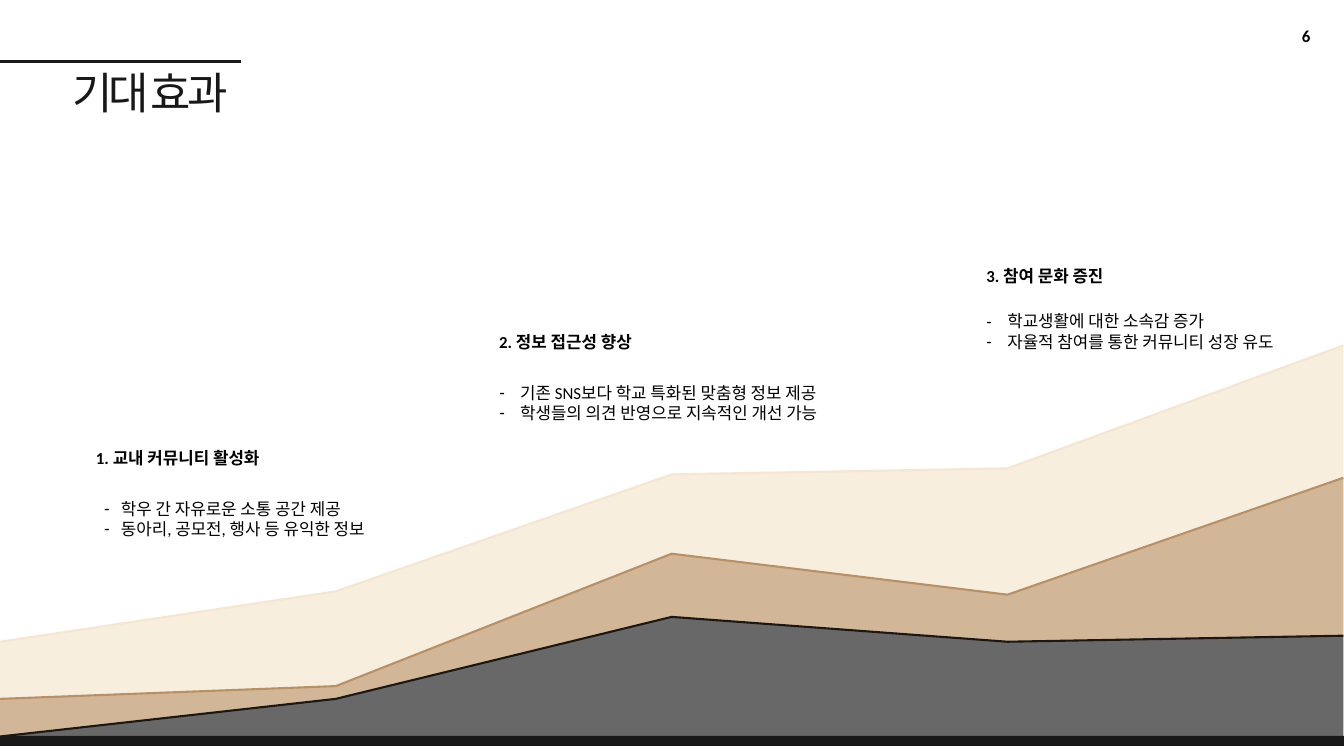
from dataclasses import dataclass

from lxml.etree import SubElement
from pptx import Presentation
from pptx.dml.color import RGBColor
from pptx.enum.shapes import MSO_CONNECTOR, MSO_SHAPE
from pptx.enum.text import MSO_ANCHOR, MSO_AUTO_SIZE, PP_ALIGN
from pptx.oxml.ns import qn
from pptx.util import Inches, Pt


@dataclass(frozen=True)
class Theme:
    """Colours, fonts and type sizes of the slide."""

    dark: str = "181818"
    text: str = "000000"
    cream: str = "F5E6CD"
    tan: str = "BA8F61"
    band_opacity: int = 65
    body_font: str = "Calibri"
    title_font: str = "Noto Sans CJK KR"
    title_size: int = 47
    body_size: int = 18
    band_line: float = 2.25
    title_line: float = 3


THEME = Theme()
BASELINE = 10.96
BANDS = [
    (THEME.cream, [9.55, 8.8, 7.06, 6.97, 5.14]),
    (THEME.tan, [10.4, 10.21, 8.24, 8.85, 7.11]),
    (THEME.dark, [BASELINE, 10.4, 9.18, 9.55, 9.46]),
]
BENEFITS = [
    ((1.33, 6.62, 4.92), (1.45, 7.37, 4.8), 0.25, "1. 교내 커뮤니티 활성화",
     ["학우 간 자유로운 소통 공간 제공", "동아리, 공모전, 행사 등 유익한 정보"]),
    ((7.33, 4.88, 4.92), (7.33, 5.64, 5.44), 0.31, "2. 정보 접근성 향상",
     ["기존 SNS보다 학교 특화된 맞춤형 정보 제공", "학생들의 의견 반영으로 지속적인 개선 가능"]),
    ((14.58, 3.9, 4.92), (14.58, 4.58, 4.92), 0.31, "3. 참여 문화 증진",
     ["학교생활에 대한 소속감 증가", "자율적 참여를 통한 커뮤니티 성장 유도"]),
]


def place(shape, box):
    """Move a shape to a box of left, top, width and height in inches."""
    shape.left, shape.top, shape.width, shape.height = map(Inches, box)


def add_dash(paragraph, indent):
    """Give a paragraph a dash bullet with a hanging indent."""
    properties = paragraph._p.get_or_add_pPr()
    properties.set("marL", str(Inches(indent)))
    properties.set("indent", str(-Inches(indent)))
    SubElement(properties, qn("a:buChar"), char="-")


def write_text(shape, lines, font=THEME.body_font, size=THEME.body_size, color=THEME.text,
               bold=False, align=PP_ALIGN.LEFT, insets=(0.1, 0.05), dash_indent=None, spacing=None):
    """Fill a shape with one formatted paragraph per line."""
    frame = shape.text_frame
    frame.auto_size = MSO_AUTO_SIZE.NONE
    frame.word_wrap = True
    frame.vertical_anchor = MSO_ANCHOR.TOP
    frame.margin_left = frame.margin_right = Inches(insets[0])
    frame.margin_top = frame.margin_bottom = Inches(insets[1])
    for index, line in enumerate(lines):
        paragraph = frame.add_paragraph() if index else frame.paragraphs[0]
        if dash_indent:
            add_dash(paragraph, dash_indent)
        paragraph.alignment = align
        paragraph.space_before = Pt(0)
        paragraph.line_spacing = 1.0
        run = paragraph.add_run()
        run.text = line
        run.font.size = Pt(size)
        run.font.bold = bold
        run.font.color.rgb = RGBColor.from_string(color)
        run.font.name = font
        properties = run._r.get_or_add_rPr()
        SubElement(properties, qn("a:ea"), typeface=font)
        if spacing is not None:
            properties.set("spc", str(round(spacing * 100)))


def add_title(slide, box):
    """Set the title below its rule."""
    title = slide.shapes.title
    place(title, box)
    write_text(title, ["기대 효과"], font=THEME.title_font, size=THEME.title_size,
               color=THEME.dark, insets=(0, 0.01), spacing=-4.4)
    rule_top = Inches(0.91)
    rule = slide.shapes.add_connector(MSO_CONNECTOR.STRAIGHT, 0, rule_top, Inches(3.58), rule_top)
    rule.line.color.rgb = RGBColor.from_string(THEME.dark)
    rule.line.width = Pt(THEME.title_line)
    SubElement(rule._element.spPr, qn("a:effectLst"))


def add_page_number(slide, box):
    """Write the page number at the right of its box."""
    number = slide.shapes.add_textbox(*map(Inches, box))
    write_text(number, ["6"], bold=True, align=PP_ALIGN.RIGHT, insets=(0, 0))


def add_benefit(slide, placeholder, heading_box, list_box, indent, heading, items):
    """Place a numbered heading and its dashed list."""
    heading_shape = slide.shapes.add_textbox(*map(Inches, (*heading_box, 0.4)))
    write_text(heading_shape, [heading], bold=True)
    place(placeholder, (*list_box, 0.71))
    write_text(placeholder, items, dash_indent=indent)


def add_outline(shapes, points, close):
    """Draw a freeform through points given in inches."""
    vertices = [(Inches(x), Inches(y)) for x, y in points]
    builder = shapes.build_freeform(*vertices[0])
    builder.add_line_segments(vertices[1:], close=close)
    shape = builder.convert_to_shape()
    shape.shadow.inherit = False
    return shape


def add_bands(slide, left, width):
    """Draw the stacked translucent bands and their top lines."""
    shapes = slide.shapes.add_group_shape().shapes
    step = width / (len(BANDS[0][1]) - 1)
    edges = [[(left + index * step, y) for index, y in enumerate(heights)] for _, heights in BANDS]
    floor = [(left, BASELINE), (left + width, BASELINE)]
    for (color, _), upper, lower in zip(BANDS, edges, edges[1:] + [floor]):
        band = add_outline(shapes, upper + lower[::-1], True)
        band.fill.solid()
        band.fill.fore_color.rgb = RGBColor.from_string(color)
        color_element = band._element.spPr.find(qn("a:solidFill"))[0]
        SubElement(color_element, qn("a:alpha"), val=str(THEME.band_opacity * 1000))
        band.line.fill.background()
    for (color, _), upper in zip(BANDS, edges):
        line = add_outline(shapes, upper, False)
        line.fill.background()
        line.line.color.rgb = RGBColor.from_string(color)
        line.line.width = Pt(THEME.band_line)


def add_footer_bar(slide, box):
    """Draw the dark bar along the bottom."""
    bar = slide.shapes.add_shape(MSO_SHAPE.RECTANGLE, *map(Inches, box))
    bar.shadow.inherit = False
    bar.fill.solid()
    bar.fill.fore_color.rgb = RGBColor.from_string(THEME.dark)
    bar.line.fill.background()


def main():
    """Build and save the slide."""
    presentation = Presentation()
    presentation.slide_width = Inches(20)
    presentation.slide_height = Inches(11.25)
    slide = presentation.slides.add_slide(presentation.slide_layouts.get_by_name("Comparison"))
    bodies = list(slide.placeholders)[1:]
    add_footer_bar(slide, (0, 10.95, 20, 0.15))
    add_page_number(slide, (14.9, 0.38, 4.6, 0.3))
    add_title(slide, (1.08, 0.96, 2.55, 0.81))
    for placeholder, benefit in zip(bodies, BENEFITS):
        add_benefit(slide, placeholder, *benefit)
    for placeholder in bodies[len(BENEFITS):]:
        placeholder._element.getparent().remove(placeholder._element)
    add_bands(slide, 0, 19.99)
    presentation.save("out.pptx")


if __name__ == "__main__":
    main()
